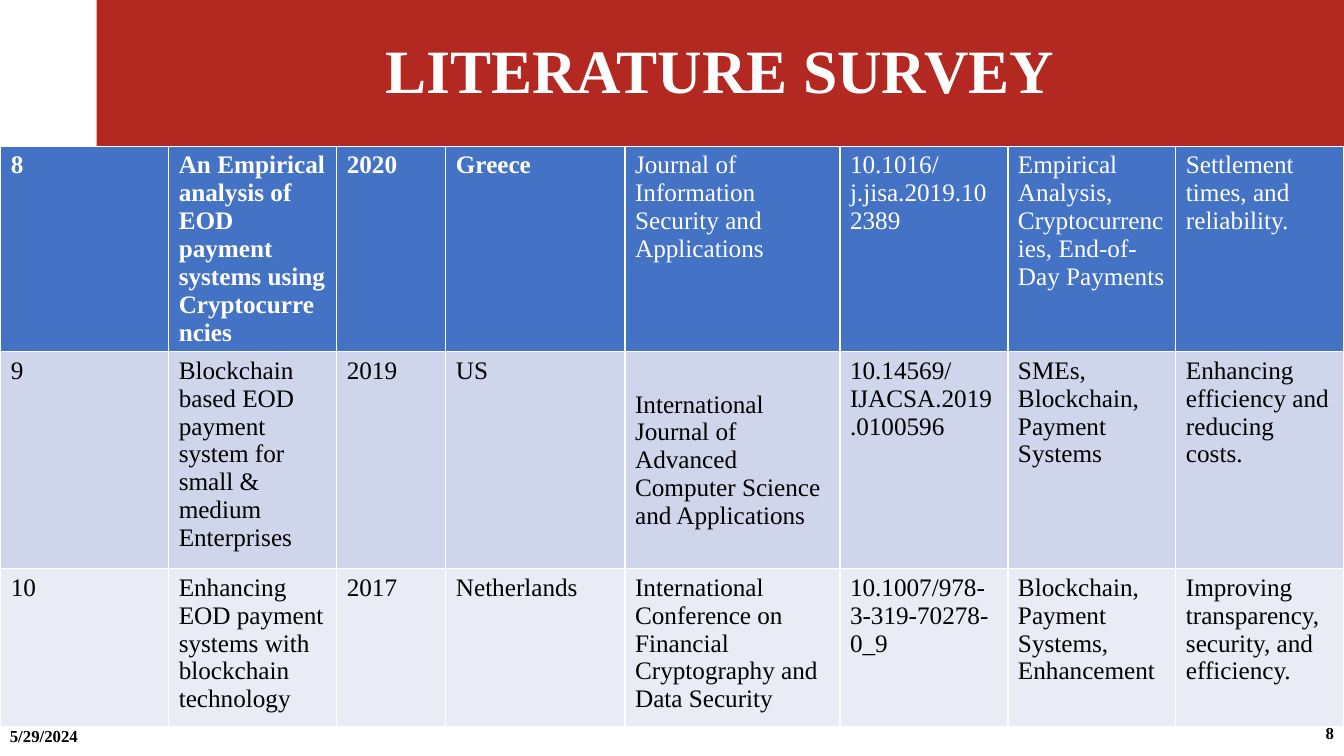
from pptx import Presentation
from pptx.dml.color import RGBColor
from pptx.enum.text import MSO_ANCHOR, PP_ALIGN
from pptx.util import Pt

LEFT, CENTER, RIGHT = PP_ALIGN.LEFT, PP_ALIGN.CENTER, PP_ALIGN.RIGHT
TOP, MIDDLE = MSO_ANCHOR.TOP, MSO_ANCHOR.MIDDLE

FONT = "Times New Roman"
WHITE = RGBColor(0xFF, 0xFF, 0xFF)
BLACK = RGBColor(0x00, 0x00, 0x00)
RED = RGBColor(0xB3, 0x28, 0x21)
BLUE = RGBColor(0x44, 0x72, 0xC4)
PALE_BLUE = RGBColor(0xCF, 0xD5, 0xEA)
PALE_GRAY = RGBColor(0xE9, 0xEB, 0xF5)

ROW_FILLS = [BLUE, PALE_BLUE, PALE_GRAY]
COL_WIDTHS = [120, 120, 78, 128, 153.5, 120, 120, 120]
ROW_HEIGHTS = [134, 155, 113]
BOLD_HEADER_COLS = 4
CENTERED_CELL = (1, 4)
PAPERS = [
    ["8", "An Empirical analysis of EOD payment systems using Cryptocurrencies",
     "2020", "Greece", "Journal of Information Security and Applications",
     "10.1016/j.jisa.2019.102389",
     "Empirical Analysis, Cryptocurrencies, End-of-Day Payments",
     "Settlement times, and reliability."],
    ["9", "Blockchain based EOD payment system for small & medium Enterprises",
     "2019", "US",
     "International Journal of Advanced Computer Science and Applications",
     "10.14569/IJACSA.2019.0100596",
     "SMEs, Blockchain, Payment Systems",
     "Enhancing efficiency and reducing costs."],
    ["10", "Enhancing EOD payment systems with blockchain technology",
     "2017", "Netherlands",
     "International Conference on Financial Cryptography and Data Security",
     "10.1007/978-3-319-70278-0_9",
     "Blockchain, Payment Systems, Enhancement",
     "Improving transparency, security, and efficiency."],
]


def write(tf, text, size, color, bold, align=LEFT):
    """Add one formatted run to the first paragraph and return the paragraph."""
    p = tf.paragraphs[0]
    p.alignment = align
    r = p.add_run()
    r.text = text
    r.font.name = FONT
    r.font.size = Pt(size)
    r.font.bold = bold
    r.font.color.rgb = color
    return p


def add_title(s, x, y, w, h):
    """Turn the title placeholder into the red banner."""
    sp = s.shapes.title
    sp.left, sp.top, sp.width, sp.height = Pt(x), Pt(y), Pt(w), Pt(h)
    sp.fill.solid()
    sp.fill.fore_color.rgb = RED
    sp.text_frame.vertical_anchor = MIDDLE
    p = write(sp.text_frame, "LITERATURE SURVEY", 44, WHITE, True, CENTER)
    p.line_spacing = 0.9


def add_survey_table(s, x, y):
    """Add the table of surveyed papers with its top left corner at x, y."""
    table = s.shapes.add_table(
        len(PAPERS), len(COL_WIDTHS), Pt(x), Pt(y),
        Pt(sum(COL_WIDTHS)), Pt(sum(ROW_HEIGHTS))).table
    for column, width in zip(table.columns, COL_WIDTHS):
        column.width = Pt(width)
    for i, paper in enumerate(PAPERS):
        table.rows[i].height = Pt(ROW_HEIGHTS[i])
        for j, text in enumerate(paper):
            cell = table.cell(i, j)
            cell.fill.solid()
            cell.fill.fore_color.rgb = ROW_FILLS[i]
            cell.vertical_anchor = MIDDLE if (i, j) == CENTERED_CELL else TOP
            write(cell.text_frame, text, 18, WHITE if i == 0 else BLACK,
                  i == 0 and j < BOLD_HEADER_COLS)


def add_footer(s, x, y, w, h, text, align):
    """Add a bold footer text in the given box."""
    tf = s.shapes.add_textbox(Pt(x), Pt(y), Pt(w), Pt(h)).text_frame
    tf.word_wrap = True
    tf.vertical_anchor = MIDDLE
    write(tf, text, 12, BLACK, True, align)


def main():
    """Build and save the slide."""
    prs = Presentation()
    prs.slide_width, prs.slide_height = Pt(960), Pt(540)
    s = prs.slides.add_slide(prs.slide_layouts[5])
    add_title(s, 69, 0, 891, 104.5)
    add_survey_table(s, 0.5, 104.5)
    add_footer(s, 744, 509, 216, 28.8, "8", RIGHT)
    add_footer(s, 0, 511.2, 216, 28.8, "5/29/2024", LEFT)
    prs.save("out.pptx")


if __name__ == "__main__":
    main()
